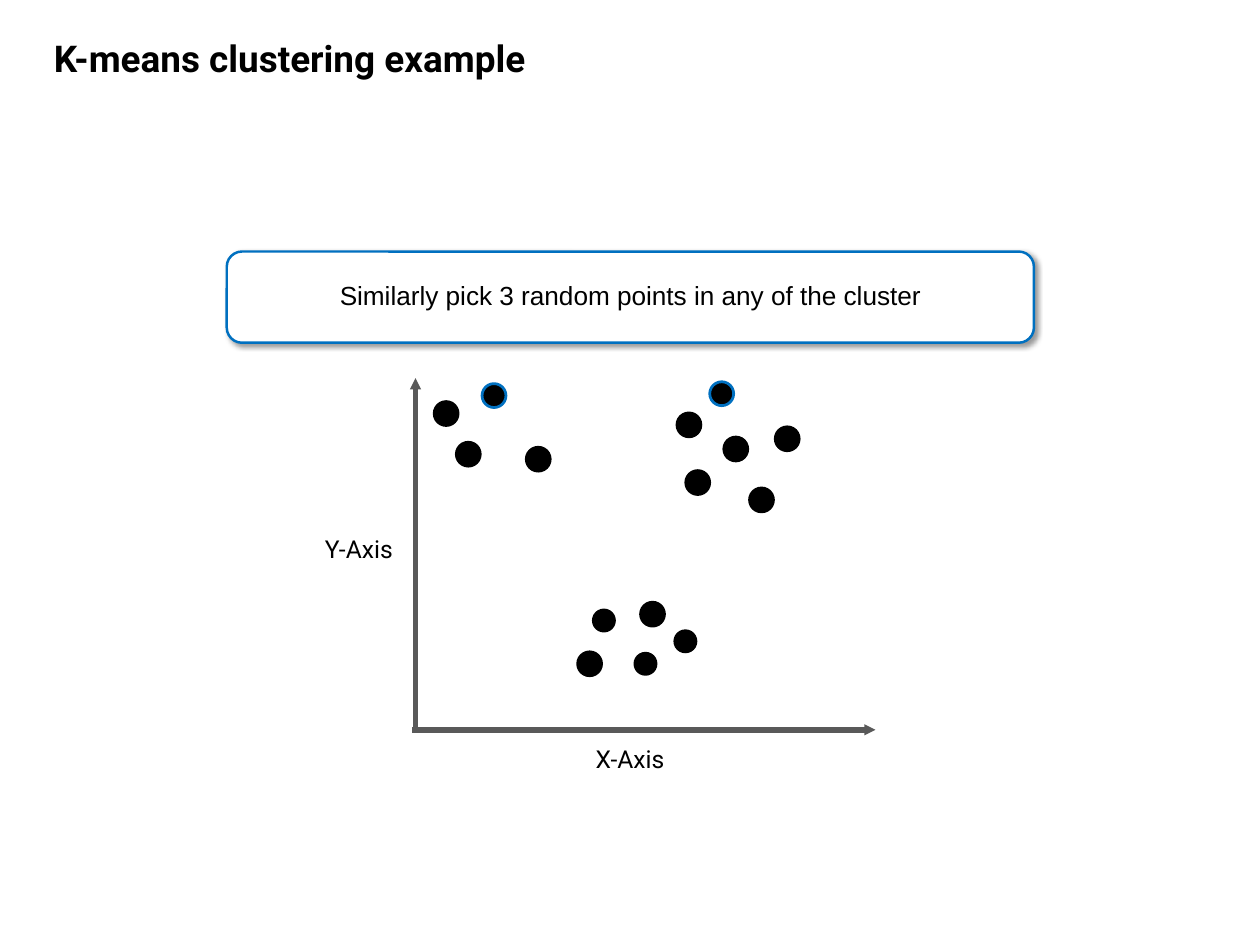
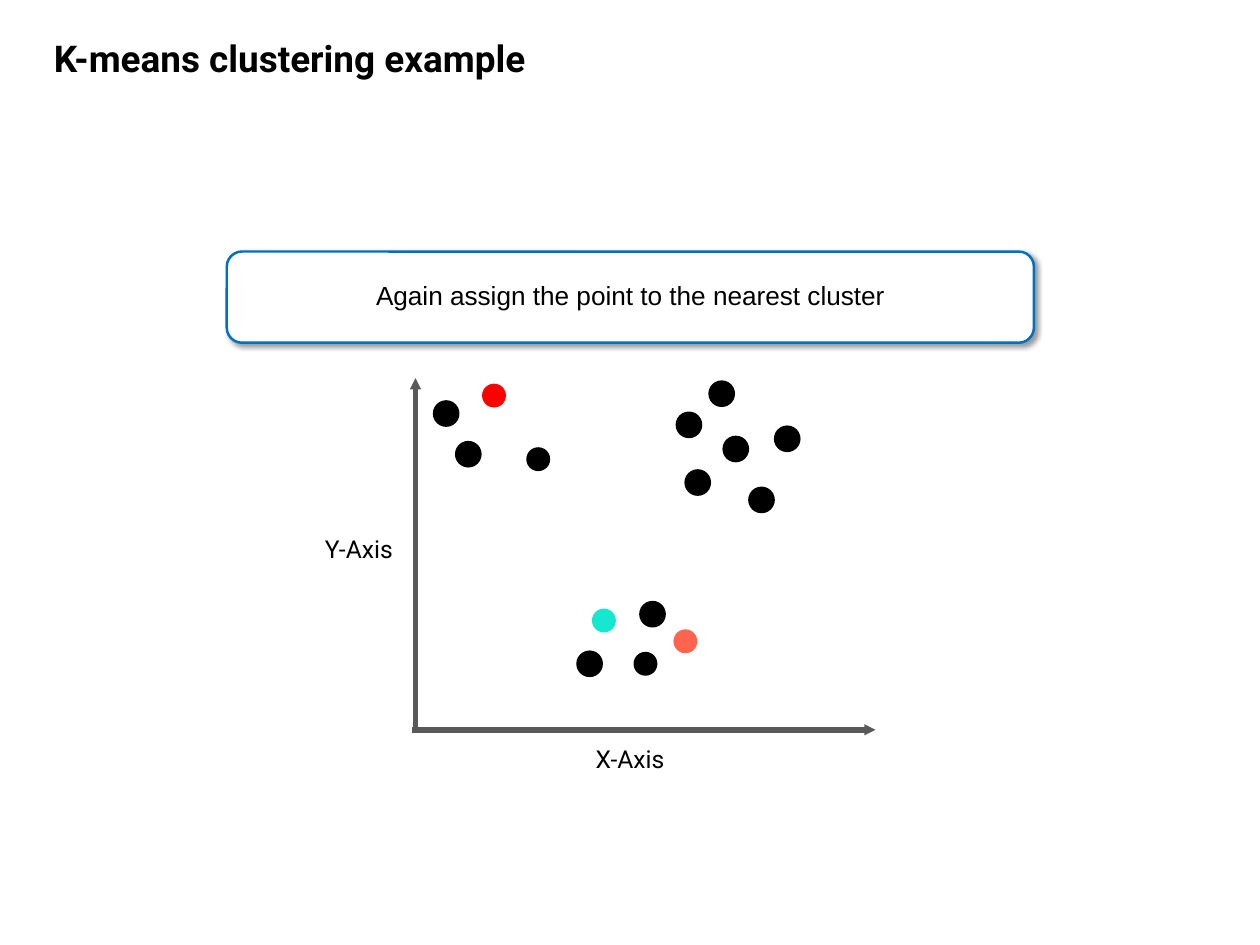
from pptx import Presentation
from pptx.dml.color import RGBColor
from pptx.enum.shapes import MSO_CONNECTOR as CONN, MSO_SHAPE as SHAPE
from pptx.enum.text import MSO_ANCHOR as ANCHOR, PP_ALIGN as ALIGN
from pptx.oxml import parse_xml
from pptx.oxml.ns import nsdecls
from pptx.util import Inches, Pt

BLACK = RGBColor(0x00, 0x00, 0x00)
WHITE = RGBColor(0xFF, 0xFF, 0xFF)
BLUE = RGBColor(0x00, 0x70, 0xC0)
GRAY = RGBColor(0x59, 0x59, 0x59)
RED = RGBColor(0xFF, 0x00, 0x00)
TEAL = RGBColor(0x16, 0xE7, 0xCF)
CORAL = RGBColor(0xFF, 0x64, 0x4E)

prs = Presentation()
prs.slide_width, prs.slide_height = Inches(14.22), Inches(10.67)
COL, ROW = prs.slide_width / 100, prs.slide_height / 100
DOT = Inches(0.27)

TITLE = "K-means clustering example"
LABELS = [
    (TITLE, (3.59, 3.84, 51.62, 5.25), 30, True, ALIGN.LEFT),
    ("X-Axis", (45.92, 78.63, 8.16, 3.75), 20, False, ALIGN.CENTER),
    ("Y-Axis", (24.4, 56.42, 8.16, 3.75), 20, False, ALIGN.CENTER),
]
AXES = [(32.98, 40.02, 32.98, 77.23), (69.48, 77.23, 32.7, 77.23)]
DOTS = [
    (38.26, 40.6), (36.22, 46.8), (34.46, 42.5), (41.77, 47.33),
    (56.33, 40.4), (53.73, 43.7), (57.45, 46.25), (54.43, 49.8),
    (61.53, 45.17), (59.49, 51.64),
    (46.98, 64.4), (45.85, 68.98), (50.84, 63.73), (50.28, 68.98), (53.45, 66.6),
]
PLAIN = {i: (BLACK, None) for i in (10, 13, 14)}
SLIDES = [
    ("Similarly pick 3 random points in any of the cluster",
     {0: (BLACK, BLUE), 4: (BLACK, BLUE)}),
    ("Again assign the point to the nearest cluster",
     {0: (RED, None), 3: (BLACK, None), 10: (TEAL, None), 14: (CORAL, None)}),
]
SHADOW = (
    f'<a:effectLst {nsdecls("a")}><a:outerShdw blurRad="50800" dist="38100" dir="2700000">'
    '<a:srgbClr val="000000"><a:alpha val="40000"/></a:srgbClr></a:outerShdw></a:effectLst>'
)


def grid(x, y, w, h):
    return int(x * COL), int(y * ROW), int(w * COL), int(h * ROW)


def write(sp, text, size, font, bold=False, align=ALIGN.CENTER):
    tf = sp.text_frame
    tf.word_wrap = True
    tf.text = text
    p = tf.paragraphs[0]
    p.alignment, p.line_spacing = align, 0.9
    r = p.runs[0]
    r.font.size, r.font.name, r.font.bold = Pt(size), font, bold
    r.font.color.rgb = BLACK


for message, marked in SLIDES:
    s = prs.slides.add_slide(prs.slide_layouts[6])

    callout = s.shapes.add_shape(SHAPE.ROUNDED_RECTANGLE, *grid(18, 26.62, 64.06, 9.65))
    callout.fill.solid()
    callout.fill.fore_color.rgb = WHITE
    callout.line.color.rgb, callout.line.width = BLUE, Pt(2)
    callout._element.spPr.append(parse_xml(SHADOW))
    callout.text_frame.vertical_anchor = ANCHOR.MIDDLE
    write(callout, message, 21.3, "Arial")

    for text, box, size, bold, align in LABELS:
        write(s.shapes.add_textbox(*grid(*box)), text, size, "Roboto", bold, align)

    for ends in AXES:
        axis = s.shapes.add_connector(CONN.STRAIGHT, *grid(*ends))
        axis.line.color.rgb, axis.line.width = GRAY, Pt(4.5)
        axis.line._get_or_add_ln().append(
            parse_xml(f'<a:headEnd {nsdecls("a")} type="triangle" w="sm" len="sm"/>'))
        axis._element.spPr.append(parse_xml(f'<a:effectLst {nsdecls("a")}/>'))

    styles = PLAIN | marked
    for i, (x, y) in enumerate(DOTS):
        fill, line = styles.get(i, (BLACK, BLACK))
        dot = s.shapes.add_shape(SHAPE.OVAL, int(x * COL), int(y * ROW), DOT, DOT)
        dot.shadow.inherit = False
        dot.fill.solid()
        dot.fill.fore_color.rgb = fill
        if line is None:
            dot.line.fill.background()
        else:
            dot.line.color.rgb, dot.line.width = line, Pt(2.25)

prs.save("out.pptx")
